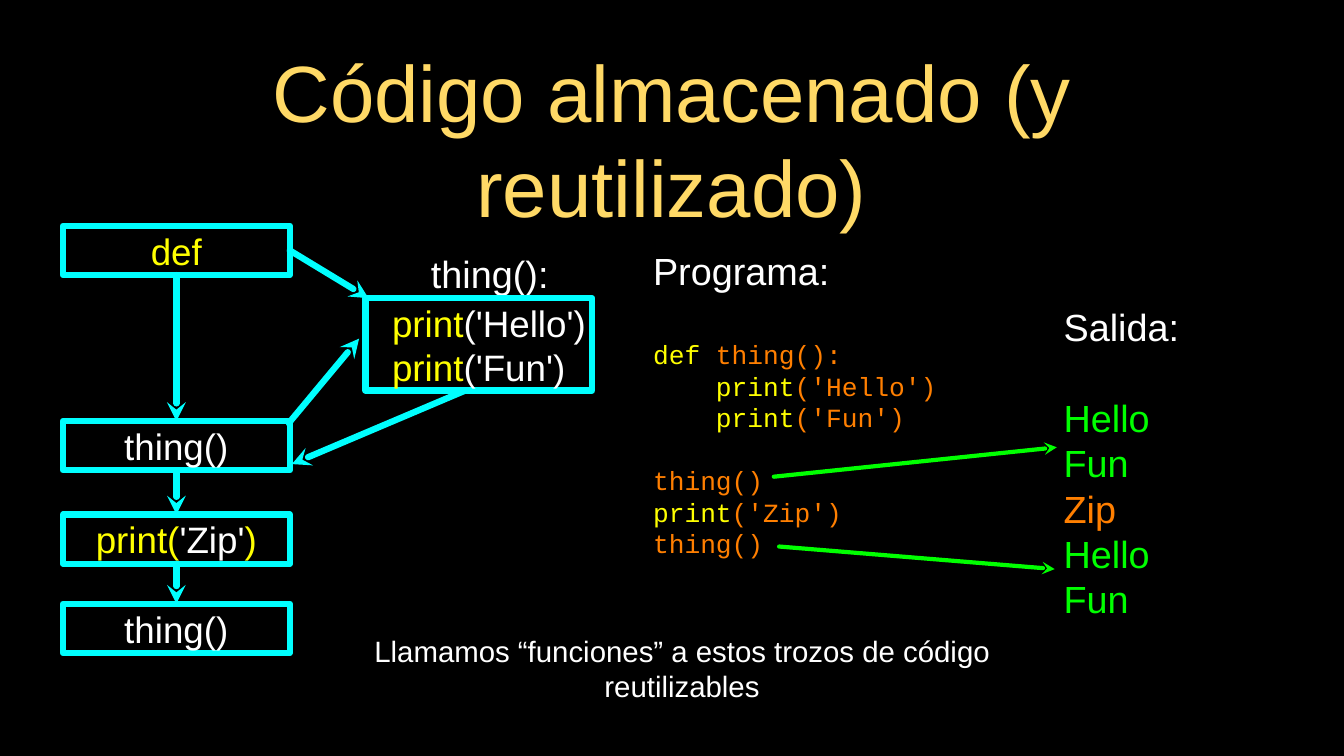
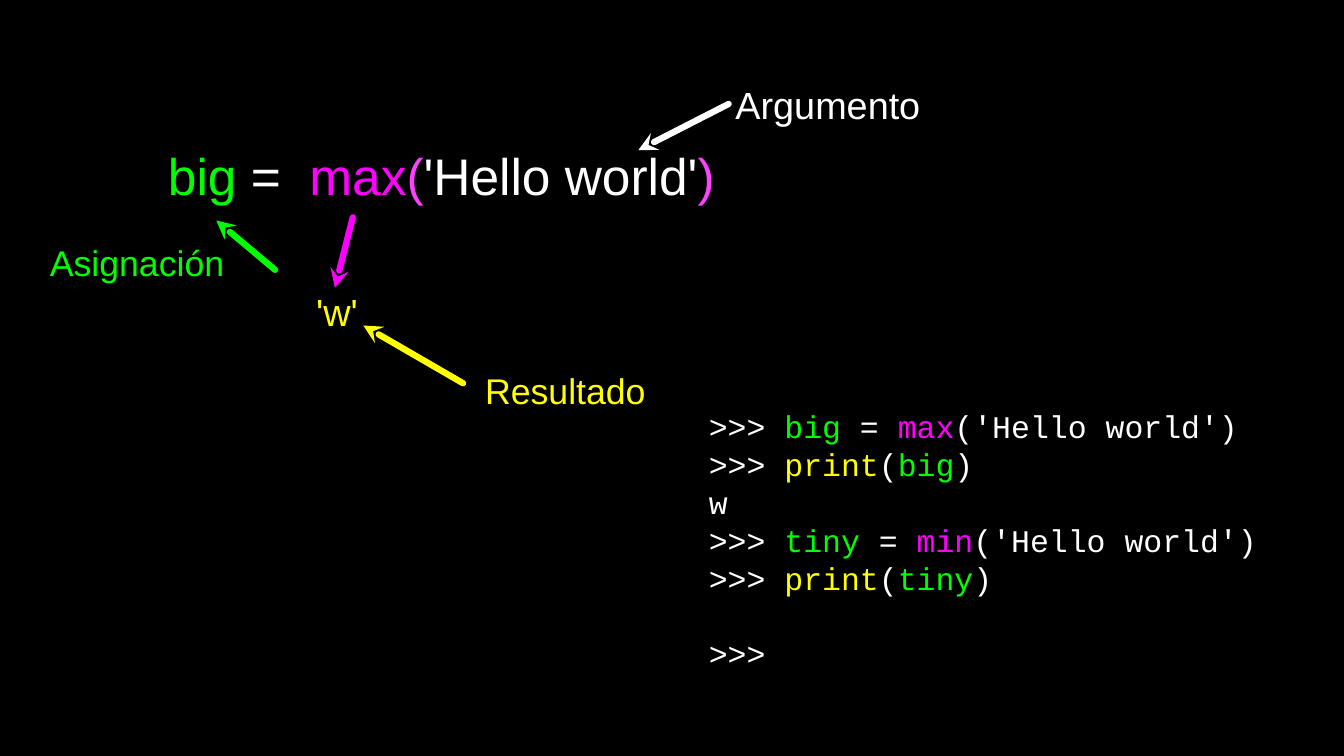
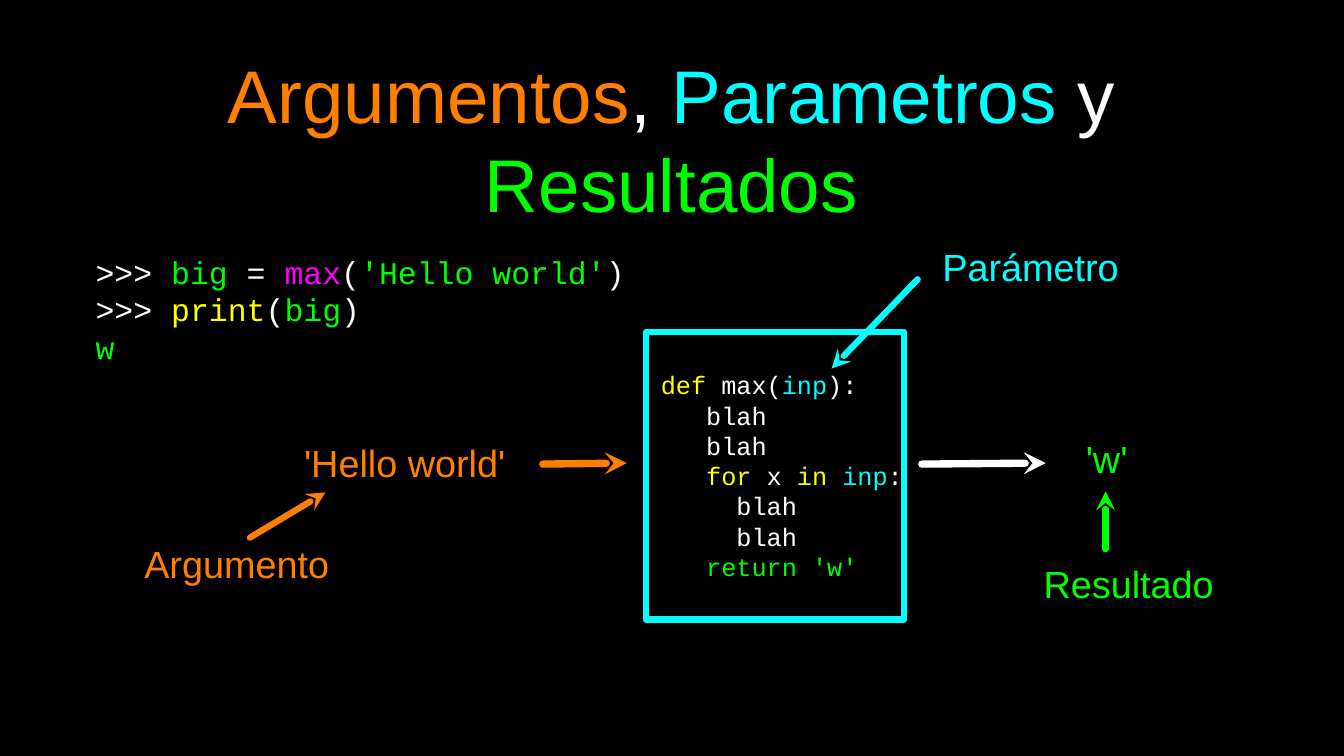
from collections import namedtuple

from lxml.etree import SubElement
from pptx import Presentation
from pptx.dml.color import RGBColor
from pptx.enum.shapes import MSO_CONNECTOR as Connector, MSO_SHAPE as Preset
from pptx.enum.text import MSO_ANCHOR as Anchor, PP_ALIGN as Align
from pptx.oxml.ns import qn
from pptx.util import Pt

COLORS = {
    "black": "000000", "white": "FFFFFF", "gold": "FFD966", "yellow": "FFFF00",
    "orange": "FF7F00", "green": "00FF00", "cyan": "00FFFF", "aqua": "00FDFF",
    "magenta": "FF00FF", "pink": "FF40FF",
}
SANS, MONO = "Arial", "Courier New"
LINE_HEIGHT = 1.2
TOP, BOTTOM, RIGHT = 0, 2, 3

Line = namedtuple("Line", "runs size font before", defaults=(36, SANS, 0))


def color(name):
    """Return the named palette colour."""
    return RGBColor.from_string(COLORS[name])


def apply(target, **formats):
    """Set each format value on the target."""
    for name, value in formats.items():
        setattr(target, name, value)


def code(*runs, size, before=0):
    """Return one line of monospaced code."""
    return Line(runs, size, MONO, before)


def write(shape, lines, alignment=Align.LEFT, inset=0):
    """Fill a shape with lines made of (text, colour) runs."""
    frame = shape.text_frame
    apply(frame, word_wrap=True, vertical_anchor=Anchor.MIDDLE,
          margin_left=Pt(inset), margin_right=Pt(inset),
          margin_top=Pt(inset), margin_bottom=Pt(inset))
    for index, line in enumerate(lines):
        paragraph = frame.add_paragraph() if index else frame.paragraphs[0]
        apply(paragraph, alignment=alignment, space_before=Pt(line.before),
              line_spacing=Pt(LINE_HEIGHT * line.size))
        for text, name in line.runs:
            run = paragraph.add_run()
            run.text = text
            apply(run.font, size=Pt(line.size), name=line.font, bold=False)
            run.font.color.rgb = color(name)


def add_text(slide, area, lines, alignment=Align.LEFT, inset=0):
    """Add a text box holding the lines."""
    box = slide.shapes.add_textbox(*map(Pt, area))
    write(box, lines, alignment, inset)


def add_label(slide, area, text, name, size=36):
    """Add a centred one-colour label."""
    add_text(slide, area, [Line([(text, name)], size)], Align.CENTER)


def add_title(slide, runs, size):
    """Add the slide title."""
    add_text(slide, (91, 63, 1097, 137), [Line(runs, size)], Align.CENTER, 3)


def add_frame(slide, area, lines, alignment=Align.CENTER):
    """Add a cyan outlined rectangle with text."""
    shape = slide.shapes.add_shape(Preset.RECTANGLE, *map(Pt, area))
    shape.shadow.inherit = False
    shape.fill.background()
    shape.line.width = Pt(6)
    shape.line.color.rgb = color("cyan")
    write(shape, lines, alignment)
    return shape


def add_arrow(slide, start, end, name, width=6):
    """Add a round-capped arrow pointing at its end."""
    arrow = slide.shapes.add_connector(Connector.STRAIGHT, *map(Pt, start + end))
    arrow.line.width = Pt(width)
    arrow.line.color.rgb = color(name)
    properties = arrow.element.spPr
    outline = properties.find(qn("a:ln"))
    outline.set("cap", "rnd")
    SubElement(outline, qn("a:round"))
    SubElement(outline, qn("a:tailEnd")).set("type", "stealth")
    SubElement(properties, qn("a:effectLst"))
    return arrow


def add_flow(slide):
    """Add the column of program steps and the function they call."""
    steps = [
        (215, [("def", "yellow")]),
        (401, [("thing()", "white")]),
        (490, [("print(", "yellow"), ("'Zip'", "white"), (")", "yellow")]),
        (575, [("thing()", "white")]),
    ]
    frames = [add_frame(slide, (60, top, 216, 47), [Line(runs, 35)])
              for top, runs in steps]
    for upper, lower in zip(frames, frames[1:]):
        arrow = add_arrow(slide, (0, 0), (0, 0), "cyan")
        arrow.begin_connect(upper, BOTTOM)
        arrow.end_connect(lower, TOP)

    add_label(slide, (397, 236, 139, 49), "thing():", "white")
    add_frame(slide, (348, 284, 216, 88), [
        Line([("  ", "white"), ("print", "yellow"), ("('Hello')", "white")], 35),
        Line([("print", "yellow"), ("('Fun')", "white")], 35),
    ])
    definition = add_arrow(slide, (276, 238), (351, 284), "cyan")
    definition.begin_connect(frames[0], RIGHT)
    add_arrow(slide, (275, 403), (342, 322.5), "cyan")
    add_arrow(slide, (443, 372), (278, 442), "cyan")


def build_stored_code(slide):
    """Build the slide about stored and reused code."""
    add_title(slide, [("Código almacenado (y reutilizado)", "gold")], 76)
    add_flow(slide)
    call = ("thing()", "orange")
    show = ("print", "yellow")
    indent = ("    ", "orange")
    add_text(slide, (622, 234, 282, 300), [
        Line([("Programa:", "white")]),
        code(("def", "yellow"), (" thing():", "orange"), size=25, before=43.2),
        code(indent, show, ("('Hello')", "orange"), size=25),
        code(indent, show, ("('Fun')", "orange"), size=25),
        code(call, size=25, before=30),
        code(show, ("('Zip')", "orange"), size=25),
        code(call, size=25),
    ])
    output = [("Hello", "green"), ("Fun", "green"), ("Zip", "orange"),
              ("Hello", "green"), ("Fun", "green")]
    add_text(slide, (1013, 293, 249, 295), [Line([("Salida:", "white")])] + [
        Line([run], before=0 if index else 43.2)
        for index, run in enumerate(output)
    ])
    add_arrow(slide, (737, 454), (1006.5, 426), "green", 4)
    add_arrow(slide, (742, 520.5), (1004.5, 542), "green", 4)
    add_label(slide, (303, 612, 693, 49),
              "Llamamos “funciones” a estos trozos de código reutilizables",
              "white", 28)


def prompt_assign(variable, function, *argument):
    """Return a console line that assigns a function result."""
    return code((">>> ", "white"), (variable, "green"), (" = ", "white"),
                (function, "magenta"), *argument, size=30)


def prompt_print(variable):
    """Return a console line that prints a variable."""
    return code((">>> ", "white"), ("print", "yellow"), ("(", "white"),
                (variable, "green"), (")", "white"), size=30)


def build_call_parts(slide):
    """Build the slide naming the parts of a function call."""
    argument = ("('Hello world')", "white")
    add_text(slide, (675, 384, 550, 260), [
        prompt_assign("big", "max", argument),
        prompt_print("big"),
        code(("w", "white"), size=30),
        prompt_assign("tiny", "min", argument),
        prompt_print("tiny"),
        code((">>>", "white"), size=30, before=36),
    ])
    add_text(slide, (160, 135, 534, 64), [Line([
        ("big", "green"), (" =  ", "white"), ("max", "magenta"), ("(", "pink"),
        ("'Hello world'", "white"), (")", "pink")], 49)])
    add_label(slide, (694, 75, 189, 49), "Argumento", "white")
    add_label(slide, (297, 272, 48, 49), "'w'", "yellow")
    add_label(slide, (453, 347, 171, 49), "Resultado", "yellow", 34)
    add_label(slide, (27, 225, 207, 49), "Asignación", "green", 34)
    add_arrow(slide, (694, 99), (608, 143), "white")
    add_arrow(slide, (441, 365), (346, 310), "yellow")
    add_arrow(slide, (262, 257), (206, 210), "green")
    add_arrow(slide, (336, 207), (319, 274), "magenta")


def build_arguments(slide):
    """Build the slide on arguments, parameters and results."""
    add_title(slide, [
        ("Argumentos", "orange"), (", ", "white"), ("Parametros", "cyan"),
        (" y ", "white"), ("Resultados", "green")], 71)
    add_text(slide, (91, 229, 595, 131), [
        prompt_assign("big", "max", ("(", "white"),
                      ("'Hello world'", "green"), (")", "white")),
        prompt_print("big"),
        code(("w", "green"), size=30),
    ])
    body = code(("    blah", "white"), size=24)
    loop_body = code(("      blah", "white"), size=24)
    add_frame(slide, (615, 316, 246, 274), [
        code((" def", "yellow"), (" max(", "white"), ("inp", "cyan"),
             ("):", "white"), size=24),
        body, body,
        code(("    for", "yellow"), (" x ", "white"), ("in ", "yellow"),
             ("inp", "aqua"), (":", "white"), size=24),
        loop_body, loop_body,
        code(("    return 'w'", "green"), size=24),
    ], Align.LEFT)
    add_label(slide, (273, 416, 225, 49), "'Hello world'", "orange")
    add_label(slide, (1029, 412, 50, 49), "'w'", "green")
    add_label(slide, (134, 512, 183, 49), "Argumento", "orange")
    add_label(slide, (884, 229, 195, 49), "Parámetro", "cyan")
    add_label(slide, (992, 531, 166, 49), "Resultado", "green")
    add_arrow(slide, (517, 442), (597, 441), "orange", 7)
    add_arrow(slide, (878, 442), (996, 441), "white", 7)
    add_arrow(slide, (238, 512), (310, 469), "orange")
    add_arrow(slide, (874, 266), (792, 351), "cyan")
    add_arrow(slide, (1053, 523), (1053, 468), "green")


def main():
    """Build and save the presentation."""
    presentation = Presentation()
    apply(presentation, slide_width=Pt(1280), slide_height=Pt(720))
    background = presentation.slide_master.background.fill
    background.solid()
    background.fore_color.rgb = color("black")
    blank = presentation.slide_layouts[6]
    for build in (build_stored_code, build_call_parts, build_arguments):
        build(presentation.slides.add_slide(blank))
    presentation.save("out.pptx")


if __name__ == "__main__":
    main()
